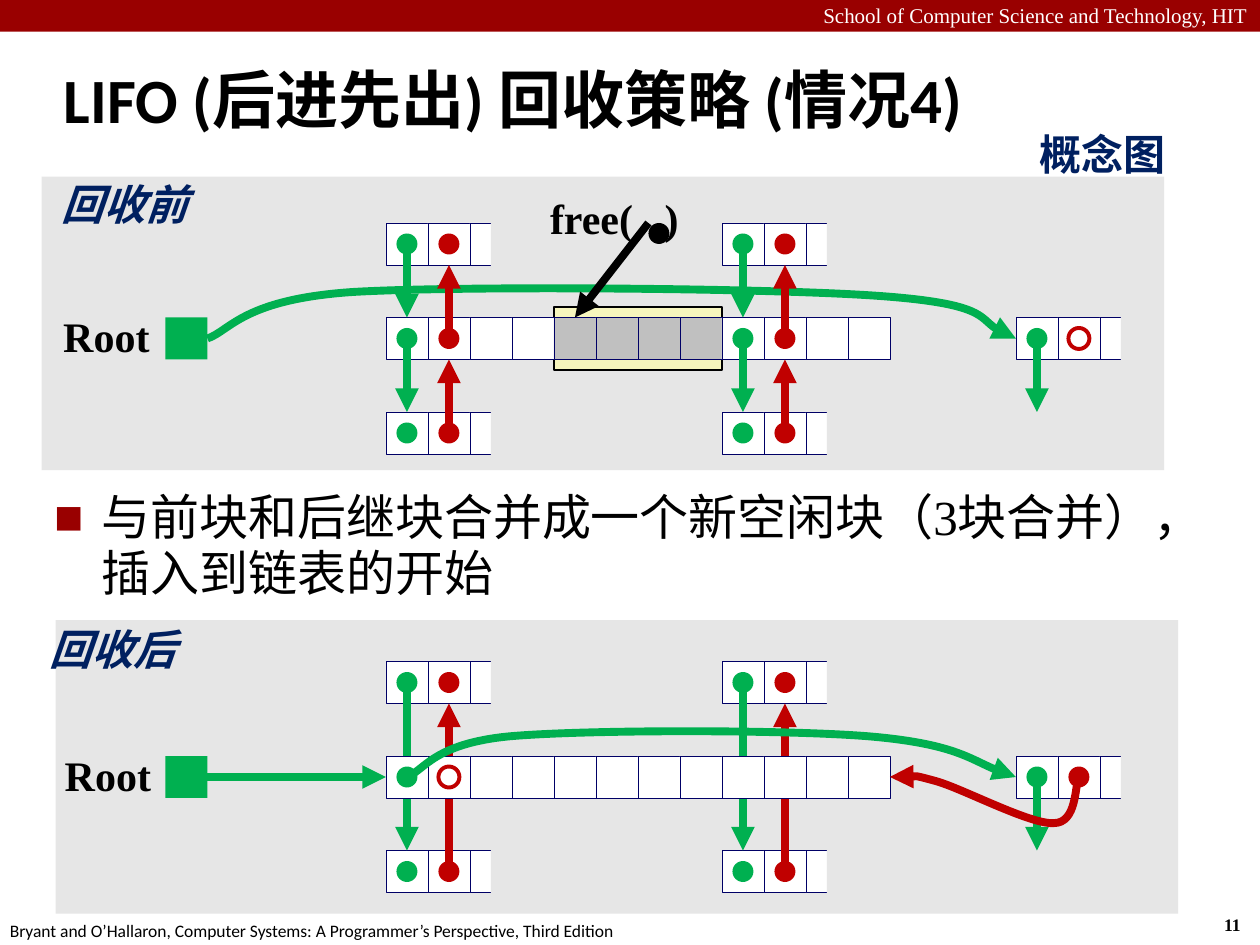
import lxml.etree
import pptx
import pptx.dml.color
import pptx.enum.shapes
import pptx.enum.text
import pptx.oxml.ns
import pptx.util

Cm = pptx.util.Cm
Pt = pptx.util.Pt
qn = pptx.oxml.ns.qn
color = pptx.dml.color.RGBColor.from_string
RECT = pptx.enum.shapes.MSO_SHAPE.RECTANGLE
OVAL = pptx.enum.shapes.MSO_SHAPE.OVAL
STRAIGHT = pptx.enum.shapes.MSO_CONNECTOR.STRAIGHT
ALIGN = pptx.enum.text.PP_ALIGN
ANCHOR = pptx.enum.text.MSO_ANCHOR
AUTO = pptx.enum.text.MSO_AUTO_SIZE

GREEN, RED, NAVY, BLACK, WHITE = "00B050", "C00000", "002060", "000000", "FFFFFF"
GRAY, EDGE, CRIMSON = "E6E6E6", "000066", "990000"
CELL = 2.54 / 3
HEAP_LEFT = 7.78
ROW_STEP = 2.25

deck = pptx.Presentation()
deck.slide_width, deck.slide_height = Cm(25.4), Cm(19.05)
slide = deck.slides.add_slide(deck.slide_layouts[6])
shapes = slide.shapes


def add_block(kind, left, top, width, height, fill=None, edge=None, weight=0.25):
    block = shapes.add_shape(kind, Cm(left), Cm(top), Cm(width), Cm(height))
    block.shadow.inherit = False
    if fill:
        block.fill.solid()
        block.fill.fore_color.rgb = color(fill)
    else:
        block.fill.background()
    if edge:
        block.line.color.rgb = color(edge)
        block.line.width = Pt(weight)
    else:
        block.line.fill.background()


def add_pointer(points, hue):
    corners = [(Cm(HEAP_LEFT + col * CELL), Cm(heap_top + row * CELL)) for col, row in points]
    if len(corners) == 2:
        pointer = shapes.add_connector(STRAIGHT, *corners[0], *corners[1])
    else:
        builder = shapes.build_freeform(*corners[0])
        builder.add_line_segments(corners[1:], close=False)
        pointer = builder.convert_to_shape()
        pointer.fill.background()
        outline = next(pointer.element.iter(qn("a:path")))
        segments = outline.findall(qn("a:lnTo"))
        for start in range(0, len(segments), 3):
            bend = lxml.etree.SubElement(outline, qn("a:cubicBezTo"))
            for segment in segments[start:start + 3]:
                bend.append(segment[0])
                outline.remove(segment)
    pointer.line.color.rgb = color(hue)
    pointer.line.width = Pt(4.5)
    properties = pointer.element.spPr
    lxml.etree.SubElement(properties.find(qn("a:ln")), qn("a:tailEnd"), type="triangle")
    lxml.etree.SubElement(properties, qn("a:effectLst"))


add_block(RECT, 0, 0, 25.4, 0.64, CRIMSON)

root_curve = [(-4.25, 0.5), (-3.7, 0.31), (-3.4, -0.44), (-0.75, -0.61), (1.9, -0.76),
              (9, -0.7), (11.65, -0.52), (14.28, -0.34), (14.28, 0.29), (15, 0.5)]
next_curve = [(0.5, 0.5), (0.93, 0.33), (1.14, -0.3), (2.96, -0.47), (4.8, -0.63),
              (9.47, -0.63), (11.48, -0.47), (13.5, -0.3), (14.28, 0.3), (15, 0.5)]
prev_curve = [(16.5, 0.5), (16.4, 0.7), (16.46, 1.6), (15.9, 1.6), (15.33, 1.63),
              (13.74, 0.78), (13.1, 0.6), (12.45, 0.42), (12.24, 0.5), (12, 0.5)]
before_arrows, after_arrows, neighbor_dots = [], [], []
for col in (0, 8):
    green, red = col + 0.5, col + 1.5
    before_arrows += [([(green, 0.5), (green, 2.25)], GREEN), ([(green, -1.75), (green, 0)], GREEN),
                      ([(red, 2.75), (red, 1)], RED), ([(red, 0.5), (red, -1.25)], RED)]
    after_arrows += [([(red, 2.75), (red, -1.25)], RED), ([(green, -1.75), (green, 2.25)], GREEN)]
    for row in (-ROW_STEP, ROW_STEP):
        neighbor_dots += [(col, row, GREEN), (col + 1, row, RED)]
tail_arrow = ([(15.5, 0.5), (15.5, 2.25)], GREEN)

panels = [
    {"heap_top": 6.4, "left": 0.84, "top": 3.56, "freed": range(4, 8),
     "behind": [(root_curve, GREEN)],
     "front": before_arrows + [tail_arrow, ([(6.25, -2.25), (4.5, 0)], BLACK)],
     "dots": [(0, 0, GREEN), (1, 0, RED), (8, 0, GREEN), (9, 0, RED), (6, -2.5, BLACK)],
     "ring": 16},
    {"heap_top": 15.24, "left": 1.12, "top": 12.5, "freed": [],
     "behind": after_arrows,
     "front": [tail_arrow, ([(-4.5, 0.5), (0, 0.5)], GREEN), (next_curve, GREEN), (prev_curve, RED)],
     "dots": [(0, 0, GREEN), (16, 0, RED)],
     "ring": 1},
]
stubs = [(col, row) for col in (0, 8) for row in (-ROW_STEP, ROW_STEP)] + [(15, 0)]

for panel in panels:
    heap_top = panel["heap_top"]
    add_block(RECT, panel["left"], panel["top"], 22.63, 5.92, GRAY)
    if panel["freed"]:
        add_block(RECT, HEAP_LEFT + 4 * CELL, heap_top - CELL / 4, 4 * CELL, 1.5 * CELL,
                  "F6F5BD", BLACK, 0.75)
    for col, row in stubs:
        left, top = HEAP_LEFT + col * CELL, heap_top + row * CELL
        for step in range(3):
            add_block(RECT, left + step * CELL, top, CELL, CELL, WHITE, EDGE)
        add_block(RECT, left + 2.5 * CELL, top - CELL / 4, CELL, 1.5 * CELL, GRAY)
    for points, hue in panel["behind"]:
        add_pointer(points, hue)
    for col in range(12):
        fill = "C0C0C0" if col in panel["freed"] else WHITE
        add_block(RECT, HEAP_LEFT + col * CELL, heap_top, CELL, CELL, fill, EDGE)
    add_block(RECT, HEAP_LEFT - 5.25 * CELL, heap_top, CELL, CELL, GREEN)
    for col, row, hue in neighbor_dots + panel["dots"] + [(15, 0, GREEN)]:
        add_block(OVAL, HEAP_LEFT + (col + 0.25) * CELL, heap_top + (row + 0.25) * CELL,
                  CELL / 2, CELL / 2, hue)
    add_block(OVAL, HEAP_LEFT + (panel["ring"] + 0.25) * CELL, heap_top + CELL / 4,
              CELL / 2, CELL / 2, None, RED, 2.25)
    for points, hue in panel["front"]:
        add_pointer(points, hue)

snug = {"margin_left": Cm(0.13), "margin_right": Cm(0.13), "margin_top": Cm(0.13),
        "margin_bottom": Cm(0.13), "word_wrap": False, "auto_size": AUTO.SHAPE_TO_FIT_TEXT}
free_size = {"word_wrap": False, "auto_size": AUTO.SHAPE_TO_FIT_TEXT}
wrapped = {"word_wrap": True}
centered = {"alignment": ALIGN.CENTER, "line_spacing": 0.9}
right = {"alignment": ALIGN.RIGHT}
times, calibri, noto = "Times New Roman", "Calibri", "Noto Sans CJK SC"
label = {"size": Pt(24), "bold": True}
slanted = {**label, "italic": True}
small = {"size": Pt(10)}

texts = [
    ("11", (24.43, 18.31, 0.94, 0.69), free_size, {}, times, BLACK, {**small, "bold": True}),
    ("Bryant and O’Hallaron, Computer Systems: A Programmer’s Perspective, Third Edition",
     (-0.05, 18.42, 12.9, 0.69), free_size, {}, calibri, BLACK, small),
    ("School of Computer Science and Technology, HIT", (0, -0.08, 25.4, 0.76),
     wrapped, right, times, WHITE, {"size": Pt(12)}),
    ("LIFO (后进先出) 回收策略 (情况4)", (1.04, 1.04, 24.16, 2.11),
     {**wrapped, "vertical_anchor": ANCHOR.MIDDLE}, {"line_spacing": 0.87},
     calibri, BLACK, {"size": Pt(36), "bold": True}),
    ("free(   )", (10.95, 3.86, 2.87, 1.19), snug, centered, times, BLACK, label),
    ("Root", (1.14, 6.25, 2.01, 1.19), snug, centered, times, BLACK, label),
    ("Root", (1.17, 15.09, 2.01, 1.19), snug, centered, times, BLACK, label),
    ("回收前", (1.09, 3.58, 2.84, 1.19), snug, centered, calibri, NAVY, slanted),
    ("回收后", (0.84, 12.55, 2.84, 1.19), snug, centered, times, NAVY, slanted),
    ("概念图", (20.65, 2.46, 3.1, 1.27), free_size, right, noto, NAVY, label),
    ("与前块和后继块合并成一个新空闲块（3块合并），插入到链表的开始", (0.84, 9.78, 23.88, 2.41),
     wrapped, {"line_spacing": 0.95, "space_before": Pt(5.6)}, times, BLACK, {"size": Pt(28)}),
]
for words, bounds, frame_format, paragraph_format, typeface, hue, font_format in texts:
    frame = shapes.add_textbox(*map(Cm, bounds)).text_frame
    paragraph = frame.paragraphs[0]
    run = paragraph.add_run()
    run.text = words
    for target, values in ((frame, frame_format), (paragraph, paragraph_format),
                           (run.font, {"name": typeface, **font_format})):
        for name, value in values.items():
            setattr(target, name, value)
    run.font.color.rgb = color(hue)
    lxml.etree.SubElement(run.font._element, qn("a:ea"), typeface=noto)

bullet = paragraph._p.get_or_add_pPr()
bullet.set("marL", str(Cm(0.96)))
bullet.set("indent", str(Cm(-0.96)))
bullet_color = lxml.etree.SubElement(bullet, qn("a:buClr"))
lxml.etree.SubElement(bullet_color, qn("a:srgbClr"), val=CRIMSON)
lxml.etree.SubElement(bullet, qn("a:buSzPct"), val="60000")
lxml.etree.SubElement(bullet, qn("a:buFont"), typeface=noto)
lxml.etree.SubElement(bullet, qn("a:buChar"), char="■")

deck.save("out.pptx")
